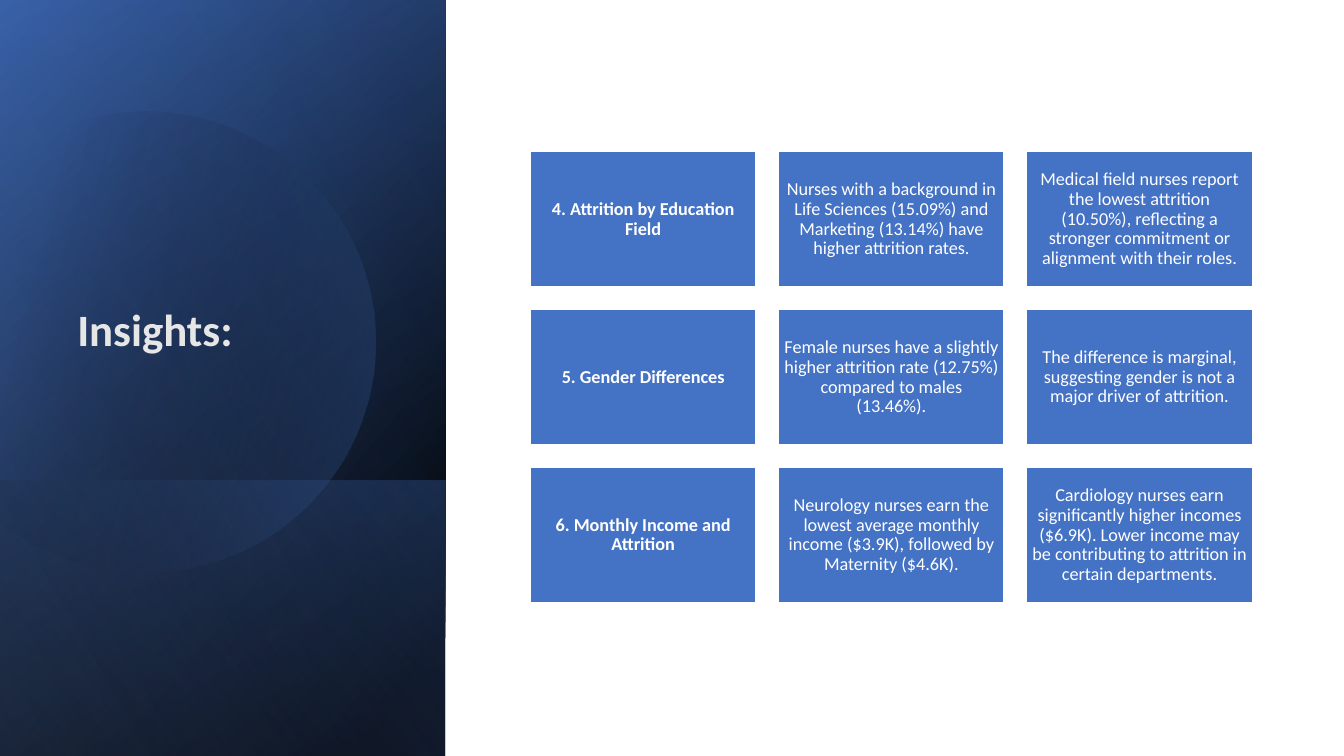
from math import cos, radians, sin

from lxml import etree
from pptx import Presentation
from pptx.dml.color import RGBColor
from pptx.enum.shapes import MSO_SHAPE
from pptx.enum.text import MSO_ANCHOR, MSO_AUTO_SIZE, PP_ALIGN
from pptx.oxml.ns import qn
from pptx.util import Pt

RECTANGLE = MSO_SHAPE.RECTANGLE
MIDDLE = MSO_ANCHOR.MIDDLE
CENTER, LEFT = PP_ALIGN.CENTER, PP_ALIGN.LEFT
FIT_SHAPE = MSO_AUTO_SIZE.SHAPE_TO_FIT_TEXT

WHITE = RGBColor(0xFF, 0xFF, 0xFF)
BLACK = RGBColor(0x00, 0x00, 0x00)
BLUE = RGBColor(0x44, 0x72, 0xC4)
DARK_BLUE = RGBColor(0x2F, 0x55, 0x97)
LIGHT_BLUE = RGBColor(0x8F, 0xAA, 0xDC)
LIGHT_GRAY = RGBColor(0xE7, 0xE6, 0xE6)
FONT = "Calibri"

TITLE = "Insights:"
INSIGHTS = [
    ("4. Attrition by Education Field",
     "Nurses with a background in Life Sciences (15.09%) and Marketing (13.14%) "
     "have higher attrition rates.",
     "Medical field nurses report the lowest attrition (10.50%), reflecting a "
     "stronger commitment or alignment with their roles."),
    ("5. Gender Differences",
     "Female nurses have a slightly higher attrition rate (12.75%) compared to "
     "males (13.46%).",
     "The difference is marginal, suggesting gender is not a major driver of attrition."),
    ("6. Monthly Income and Attrition",
     "Neurology nurses earn the lowest average monthly income ($3.9K), followed by "
     "Maternity ($4.6K).",
     "Cardiology nurses earn significantly higher incomes ($6.9K). Lower income may "
     "be contributing to attrition in certain departments."),
]

SLIDE_WIDTH, SLIDE_HEIGHT = 960, 540
PANEL_WIDTH = 318.2
# Panel height, gradient angle, then stops of (position %, colour, opacity %)
LOWER_PANELS = [
    (540, 50, [(8, BLACK, 100), (100, DARK_BLUE, 100)]),
    (540, 30, [(0, BLACK, 0), (99, BLUE, 46)]),
    (197, 130, [(2, BLUE, 29), (100, BLACK, 30)]),
]
DISC_GRADIENT = (30, [(29, BLACK, 0), (100, BLUE, 43)])
TOP_PANEL = (540, 120, [(0, BLACK, 0), (99, LIGHT_BLUE, 11)])

DISC_X, DISC_Y, DISC_RADIUS = 103.3, 241.2, 164.5
DISC_START, DISC_END, DISC_ROTATION = -118, 150, 343.9

GRID_LEFT, GRID_TOP = 378.8, 108.3
TILE_WIDTH = 161.15
TILE_HEIGHT = 0.6 * TILE_WIDTH
TILE_GAP = 0.1 * TILE_WIDTH
TILE_MARGIN = 3.9


def add_rectangle(slide, left, top, width, height):
    box = slide.shapes.add_shape(RECTANGLE, Pt(left), Pt(top), Pt(width), Pt(height))
    box.shadow.inherit = False
    return box


def fill_gradient(shape, angle, stops):
    """Fill with two stops; the angle runs clockwise in degrees."""
    shape.line.fill.background()
    shape.fill.gradient()
    shape.fill.gradient_angle = 360 - angle
    for stop, (position, color, opacity) in zip(shape.fill.gradient_stops, stops):
        stop.position = position / 100
        stop.color.rgb = color
    colors = shape._element.spPr.iter(qn("a:srgbClr"))
    for color_element, (position, color, opacity) in zip(colors, stops):
        if opacity < 100:
            alpha = etree.SubElement(color_element, qn("a:alpha"))
            alpha.set("val", str(opacity * 1000))


def add_panel(slide, height, angle, stops):
    """Add a mirrored, quarter-turned panel standing in the bottom left corner."""
    center_x, center_y = PANEL_WIDTH / 2, SLIDE_HEIGHT - height / 2
    panel = add_rectangle(slide, center_x - height / 2, center_y - PANEL_WIDTH / 2,
                          height, PANEL_WIDTH)
    panel.rotation = 90
    panel._element.spPr.find(qn("a:xfrm")).set("flipH", "1")
    fill_gradient(panel, angle, stops)


def add_cut_disc(slide):
    """Outline the disc by its extreme points, then round it with one arc."""
    points = [(Pt(DISC_X + DISC_RADIUS * cos(radians(degree))),
               Pt(DISC_Y + DISC_RADIUS * sin(radians(degree))))
              for degree in (DISC_START, -90, 0, 90, DISC_END)]
    builder = slide.shapes.build_freeform(*points[0])
    builder.add_line_segments(points[1:], close=True)
    disc = builder.convert_to_shape()

    first, *others = list(disc._element.spPr.iter(qn("a:lnTo")))
    outline = first.getparent()
    arc = etree.Element(qn("a:arcTo"))
    arc.set("wR", str(Pt(DISC_RADIUS)))
    arc.set("hR", str(Pt(DISC_RADIUS)))
    arc.set("stAng", str((DISC_START + 360) * 60000))
    arc.set("swAng", str((DISC_END - DISC_START) * 60000))
    outline.replace(first, arc)
    for segment in others:
        outline.remove(segment)

    disc.shadow.inherit = False
    disc.rotation = DISC_ROTATION
    fill_gradient(disc, *DISC_GRADIENT)


def write_text(frame, text, size, color, bold, alignment):
    frame.text = text
    frame.word_wrap = True
    frame.vertical_anchor = MIDDLE
    para = frame.paragraphs[0]
    para.alignment = alignment
    font = para.runs[0].font
    font.name, font.size, font.bold = FONT, Pt(size), bold
    font.color.rgb = color


def add_tile(slide, row, column, text):
    tile = add_rectangle(slide, GRID_LEFT + column * (TILE_WIDTH + TILE_GAP),
                         GRID_TOP + row * (TILE_HEIGHT + TILE_GAP),
                         TILE_WIDTH, TILE_HEIGHT)
    tile.fill.solid()
    tile.fill.fore_color.rgb = BLUE
    tile.line.color.rgb = WHITE
    tile.line.width = Pt(1)
    frame = tile.text_frame
    frame.margin_left = frame.margin_right = Pt(TILE_MARGIN)
    frame.margin_top = frame.margin_bottom = Pt(TILE_MARGIN)
    write_text(frame, text, 13, WHITE, column == 0, CENTER)
    frame.paragraphs[0].line_spacing = 0.9


def place_title(slide):
    title = slide.shapes.title
    title.left, title.top, title.width, title.height = Pt(48), Pt(211.7), Pt(206.6), Pt(46)
    write_text(title.text_frame, TITLE, 32, LIGHT_GRAY, True, LEFT)
    title.text_frame.auto_size = FIT_SHAPE
    slide.shapes._spTree.append(title._element)  # bring in front of the panels


def main():
    deck = Presentation()
    deck.slide_width, deck.slide_height = Pt(SLIDE_WIDTH), Pt(SLIDE_HEIGHT)
    slide = deck.slides.add_slide(deck.slide_layouts[5])

    backdrop = add_rectangle(slide, 0, 0, SLIDE_WIDTH, SLIDE_HEIGHT)
    backdrop.fill.solid()
    backdrop.fill.fore_color.rgb = WHITE
    backdrop.line.fill.background()

    for panel in LOWER_PANELS:
        add_panel(slide, *panel)
    add_cut_disc(slide)
    add_panel(slide, *TOP_PANEL)

    for row, insight in enumerate(INSIGHTS):
        for column, text in enumerate(insight):
            add_tile(slide, row, column, text)
    place_title(slide)
    deck.save("out.pptx")


if __name__ == "__main__":
    main()
